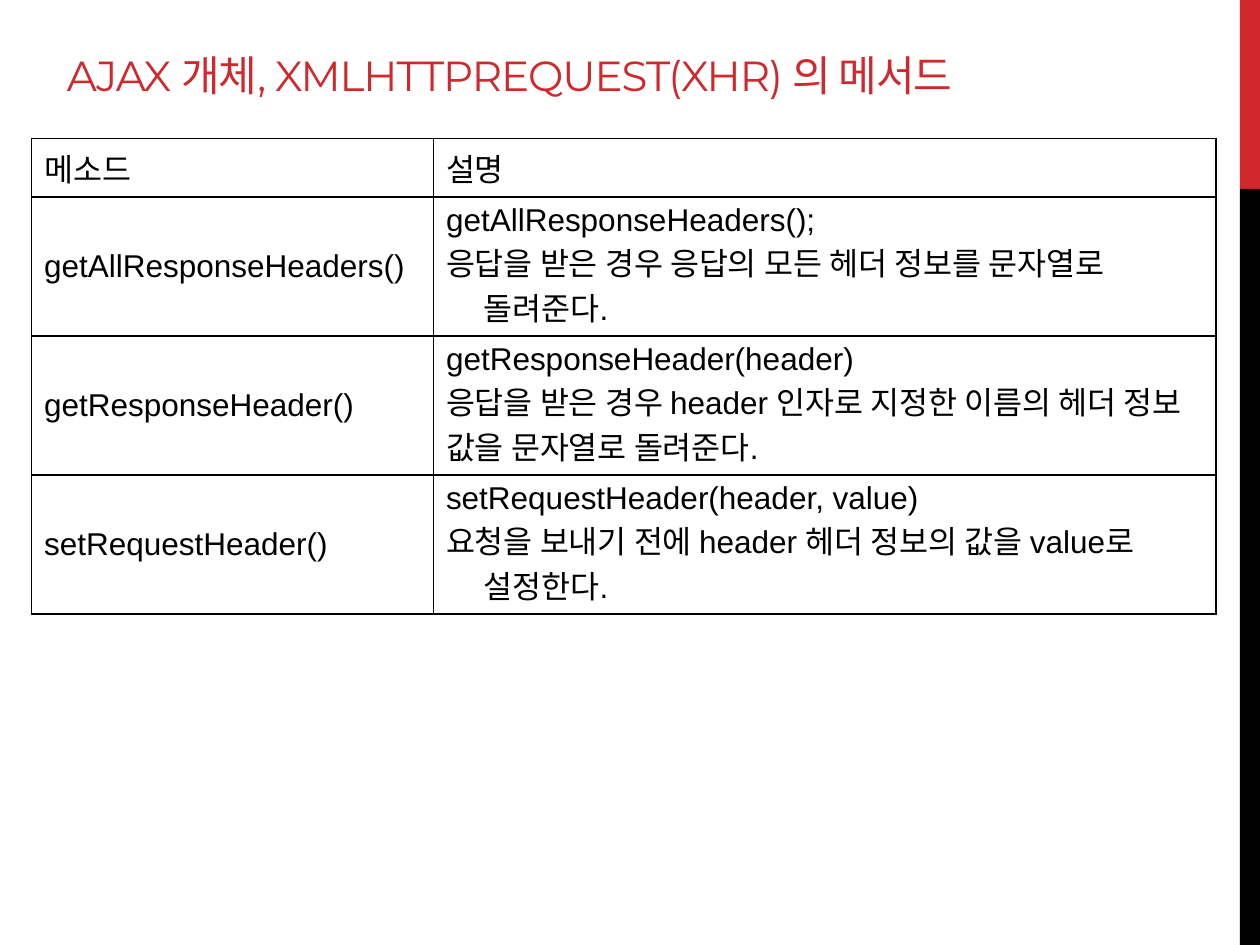
from dataclasses import dataclass

from lxml import etree
from pptx import Presentation
from pptx.dml.color import RGBColor
from pptx.enum import shapes, text
from pptx.oxml.ns import qn
from pptx.util import Inches, Pt


@dataclass(frozen=True)
class Theme:
    red: RGBColor = RGBColor(0xD1, 0x28, 0x2E)
    black: RGBColor = RGBColor(0, 0, 0)
    title_font: str = "Montserrat"
    body_font: str = "Arial"
    title_size: Pt = Pt(24)
    body_size: Pt = Pt(18)
    border: Pt = Pt(1)


@dataclass(frozen=True)
class Bar:
    top: float
    height: float
    color: RGBColor


@dataclass(frozen=True)
class Row:
    height: float
    method: str
    description: tuple[str, ...]
    hanging: bool = True


THEME = Theme()
BAR_LEFT, BAR_WIDTH = 9.84, 0.16
BARS = [Bar(0, 1.5, THEME.red), Bar(1.5, 6, THEME.black)]
COLUMNS = [3.19, 6.21]
ROWS = [
    Row(0.39, "메소드", ("설명",)),
    Row(0.64, "getAllResponseHeaders()",
        ("getAllResponseHeaders();",
         "응답을 받은 경우 응답의 모든 헤더 정보를 문자열로 돌려준다.")),
    Row(0.9, "getResponseHeader()",
        ("getResponseHeader(header)",
         "응답을 받은 경우 header 인자로 지정한 이름의 헤더 정보 값을 문자열로 돌려준다."),
        hanging=False),
    Row(0.64, "setRequestHeader()",
        ("setRequestHeader(header, value)",
         "요청을 보내기 전에 header 헤더 정보의 값을 value로 설정한다.")),
]


def style_font(font, name: str, size: Pt, color: RGBColor) -> None:
    font.name, font.size = name, size
    font.color.rgb = color


def add_bar(s, bar: Bar) -> None:
    sp = s.shapes.add_shape(shapes.MSO_SHAPE.RECTANGLE, Inches(BAR_LEFT), Inches(bar.top),
                            Inches(BAR_WIDTH), Inches(bar.height))
    sp.shadow.inherit = False
    sp.fill.solid()
    sp.fill.fore_color.rgb = bar.color
    sp.line.fill.background()


def set_title(s, title: str) -> None:
    sp = s.shapes.title
    sp.left, sp.top, sp.width, sp.height = map(Inches, (0.43, 0.05, 8.58, 0.79))
    tf = sp.text_frame
    tf.text = title
    tf.auto_size = text.MSO_AUTO_SIZE.NONE
    tf.vertical_anchor = text.MSO_ANCHOR.BOTTOM
    p = tf.paragraphs[0]
    p.alignment = text.PP_ALIGN.LEFT
    style_font(p.font, THEME.title_font, THEME.title_size, THEME.red)
    p.runs[0].font._element.set("spc", "-60")


def add_borders(cell) -> None:
    """Outline all four sides; border lines must precede the cell fill in the XML."""
    tc_pr = cell._tc.get_or_add_tcPr()
    for i, side in enumerate(("lnL", "lnR", "lnT", "lnB")):
        ln = etree.Element(qn(f"a:{side}"), w=str(THEME.border))
        fill = etree.SubElement(ln, qn("a:solidFill"))
        etree.SubElement(fill, qn("a:srgbClr"), val=str(THEME.black))
        tc_pr.insert(i, ln)


def fill_cell(cell, lines: tuple[str, ...], hanging: bool) -> None:
    cell.fill.background()
    add_borders(cell)
    cell.vertical_anchor = text.MSO_ANCHOR.MIDDLE
    cell.margin_left = cell.margin_right = Inches(0.1)
    cell.margin_top = cell.margin_bottom = Inches(0.05)
    tf = cell.text_frame
    tf.text = "\n".join(lines)
    for p in tf.paragraphs:
        if hanging:
            p_pr = p._p.get_or_add_pPr()
            p_pr.set("marL", str(Inches(0.3)))
            p_pr.set("indent", str(Inches(-0.3)))
        style_font(p.font, THEME.body_font, THEME.body_size, THEME.black)


def add_method_table(s) -> None:
    height = sum(row.height for row in ROWS)
    table = s.shapes.add_table(len(ROWS), len(COLUMNS), Inches(0.25), Inches(1.1),
                               Inches(sum(COLUMNS)), Inches(height)).table
    table.first_row = table.horz_banding = False
    for column, width in zip(table.columns, COLUMNS):
        column.width = Inches(width)
    for i, row in enumerate(ROWS):
        table.rows[i].height = Inches(row.height)
        fill_cell(table.cell(i, 0), (row.method,), hanging=True)
        fill_cell(table.cell(i, 1), row.description, row.hanging)


def main() -> None:
    prs = Presentation()
    prs.slide_width, prs.slide_height = Inches(10), Inches(7.5)
    s = prs.slides.add_slide(prs.slide_layouts.get_by_name("Title Only"))
    for bar in BARS:
        add_bar(s, bar)
    set_title(s, "AJAX 개체, XMLHTTPREQUEST(XHR) 의 메서드")
    add_method_table(s)
    prs.save("out.pptx")


if __name__ == "__main__":
    main()
